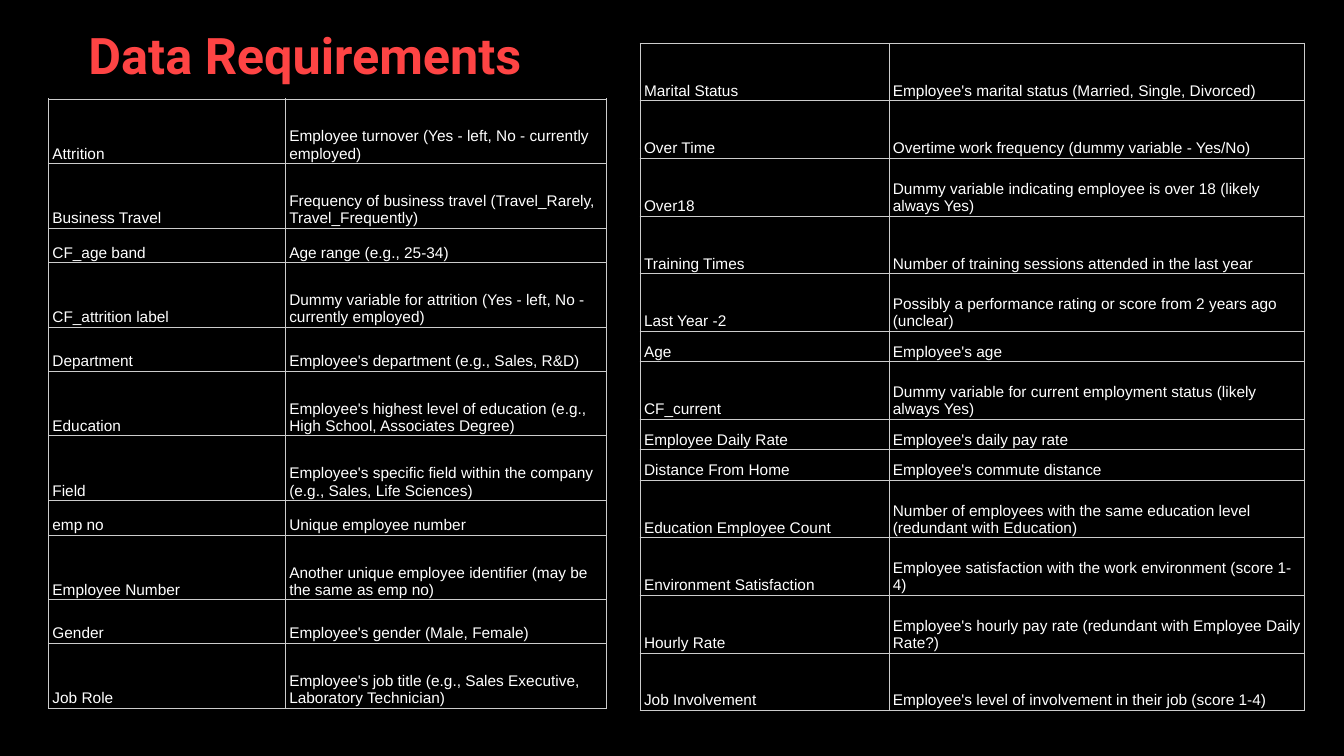
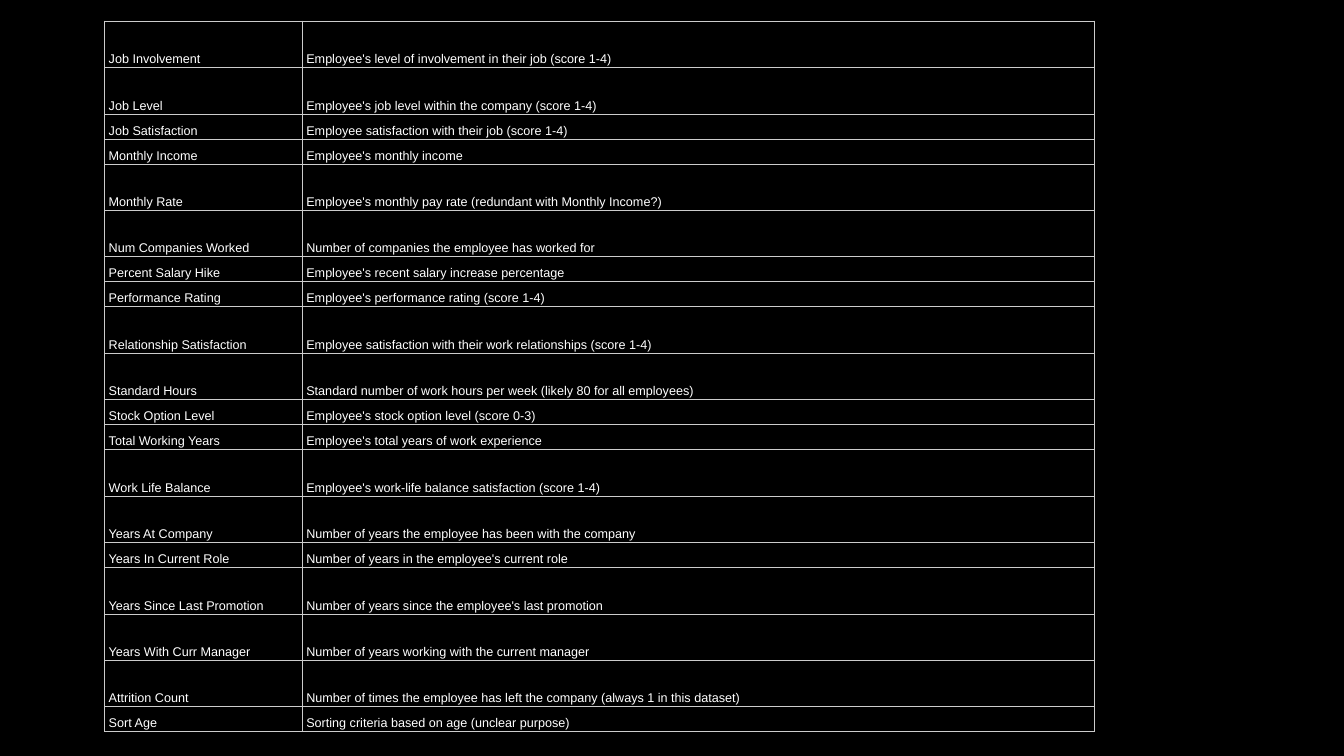
from lxml import etree
from pptx import Presentation
from pptx import util as u
from pptx.dml import color
from pptx.enum import text
from pptx.oxml import ns

# Table content: (field, description)
EMPLOYEE_FIELDS = [
    ("Attrition", "Employee turnover (Yes - left, No - currently employed)"),
    ("Business Travel", "Frequency of business travel (Travel_Rarely, Travel_Frequently)"),
    ("CF_age band", "Age range (e.g., 25-34)"),
    ("CF_attrition label", "Dummy variable for attrition (Yes - left, No - currently employed)"),
    ("Department", "Employee's department (e.g., Sales, R&D)"),
    ("Education", "Employee's highest level of education (e.g., High School, Associates Degree)"),
    ("Field", "Employee's specific field within the company (e.g., Sales, Life Sciences)"),
    ("emp no", "Unique employee number"),
    ("Employee Number", "Another unique employee identifier (may be the same as emp no)"),
    ("Gender", "Employee's gender (Male, Female)"),
    ("Job Role", "Employee's job title (e.g., Sales Executive, Laboratory Technician)"),
]
STATUS_FIELDS = [
    ("Marital Status", "Employee's marital status (Married, Single, Divorced)"),
    ("Over Time", "Overtime work frequency (dummy variable - Yes/No)"),
    ("Over18", "Dummy variable indicating employee is over 18 (likely always Yes)"),
    ("Training Times", "Number of training sessions attended in the last year"),
    ("Last Year -2", "Possibly a performance rating or score from 2 years ago (unclear)"),
    ("Age", "Employee's age"),
    ("CF_current", "Dummy variable for current employment status (likely always Yes)"),
    ("Employee Daily Rate", "Employee's daily pay rate"),
    ("Distance From Home", "Employee's commute distance"),
    ("Education Employee Count",
     "Number of employees with the same education level (redundant with Education)"),
    ("Environment Satisfaction", "Employee satisfaction with the work environment (score 1-4)"),
    ("Hourly Rate", "Employee's hourly pay rate (redundant with Employee Daily Rate?)"),
    ("Job Involvement", "Employee's level of involvement in their job (score 1-4)"),
]
JOB_FIELDS = [
    ("Job Involvement", "Employee's level of involvement in their job (score 1-4)"),
    ("Job Level", "Employee's job level within the company (score 1-4)"),
    ("Job Satisfaction", "Employee satisfaction with their job (score 1-4)"),
    ("Monthly Income", "Employee's monthly income"),
    ("Monthly Rate", "Employee's monthly pay rate (redundant with Monthly Income?)"),
    ("Num Companies Worked", "Number of companies the employee has worked for"),
    ("Percent Salary Hike", "Employee's recent salary increase percentage"),
    ("Performance Rating", "Employee's performance rating (score 1-4)"),
    ("Relationship Satisfaction",
     "Employee satisfaction with their work relationships (score 1-4)"),
    ("Standard Hours", "Standard number of work hours per week (likely 80 for all employees)"),
    ("Stock Option Level", "Employee's stock option level (score 0-3)"),
    ("Total Working Years", "Employee's total years of work experience"),
    ("Work Life Balance", "Employee's work-life balance satisfaction (score 1-4)"),
    ("Years At Company", "Number of years the employee has been with the company"),
    ("Years In Current Role", "Number of years in the employee's current role"),
    ("Years Since Last Promotion", "Number of years since the employee's last promotion"),
    ("Years With Curr Manager", "Number of years working with the current manager"),
    ("Attrition Count",
     "Number of times the employee has left the company (always 1 in this dataset)"),
    ("Sort Age", "Sorting criteria based on age (unclear purpose)"),
]


def rgb(value):
    return color.RGBColor.from_string(value)


def apply(target, values):
    for name, value in values.items():
        setattr(target, name, value)


class Deck:
    BACKGROUND, BODY, BORDER = "000000", "FFFFFF", "CCCCCC"
    TITLE_GRADIENT = ("FE4444", "832B2B")
    TITLE_FONT = {"name": "Roboto", "size": u.Pt(36), "bold": True}
    CELL = {
        "margin_left": u.Cm(0.05), "margin_right": u.Cm(0.05),
        "margin_top": u.Cm(0.03), "margin_bottom": u.Cm(0.03),
        "vertical_anchor": text.MSO_ANCHOR.BOTTOM,
    }
    INDENT = u.Cm(0.05)
    BORDER_WIDTH = u.Pt(0.5)

    def __init__(self):
        self.prs = Presentation()
        apply(self.prs, {"slide_width": u.Cm(33.87), "slide_height": u.Cm(19.05)})
        backdrop = self.prs.slide_master.background.fill
        backdrop.solid()
        backdrop.fore_color.rgb = rgb(self.BACKGROUND)
        self.slide = None

    def new_slide(self):
        self.slide = self.prs.slides.add_slide(self.prs.slide_layouts[6])

    def title(self, wording, left, top, width, height):
        box = self.slide.shapes.add_textbox(*map(u.Cm, (left, top, width, height)))
        box.text_frame.word_wrap = True
        run = box.text_frame.paragraphs[0].add_run()
        run.text = wording
        apply(run.font, self.TITLE_FONT)
        fill = run.font.fill
        fill.gradient()
        fill.gradient_angle = 0
        for stop, shade in zip(fill.gradient_stops, self.TITLE_GRADIENT):
            stop.color.rgb = rgb(shade)

    def table(self, fields, left, top, widths, pattern, heights, size):
        """Each letter of pattern picks a row height from heights."""
        row_heights = [heights[letter] for letter in pattern]
        frame = self.slide.shapes.add_table(
            len(fields), len(widths),
            *map(u.Cm, (left, top, sum(widths), sum(row_heights))))
        grid = frame.table
        apply(grid, {"first_row": False, "horz_banding": False})
        for column, width in zip(grid.columns, widths):
            column.width = u.Cm(width)
        for row, height, entry in zip(grid.rows, row_heights, fields):
            row.height = u.Cm(height)
            for cell, wording in zip(row.cells, entry):
                self.cell(cell, wording, size)

    def cell(self, cell, wording, size):
        apply(cell, self.CELL)
        cell.fill.background()
        self.borders(cell)
        paragraph = cell.text_frame.paragraphs[0]
        indent = paragraph._p.get_or_add_pPr()
        indent.set("marL", str(self.INDENT))
        indent.set("indent", "0")
        run = paragraph.add_run()
        run.text = wording
        apply(run.font, {"name": "Arial", "size": u.Pt(size)})
        run.font.color.rgb = rgb(self.BODY)

    def borders(self, cell):
        properties = cell._tc.get_or_add_tcPr()
        for place, side in enumerate(("lnL", "lnR", "lnT", "lnB")):
            line = etree.Element(ns.qn("a:" + side), w=str(self.BORDER_WIDTH))
            fill = etree.SubElement(line, ns.qn("a:solidFill"))
            etree.SubElement(fill, ns.qn("a:srgbClr"), val=self.BORDER)
            properties.insert(place, line)


def main():
    deck = Deck()

    # Data requirements: title and two tables
    deck.new_slide()
    deck.title("Data Requirements", 1.98, 0.48, 28.45, 1.75)
    deck.table(EMPLOYEE_FIELDS, 1.22, 2.49, (5.97, 8.1), "TTSTMTTSTMT",
               {"T": 1.63, "M": 1.1, "S": 0.87}, 11)
    deck.table(STATUS_FIELDS, 16.13, 1.09, (6.27, 10.46), "TTTTTSTSSTTTT",
               {"T": 1.45, "S": 0.77}, 11)

    # Remaining job fields
    deck.new_slide()
    deck.table(JOB_FIELDS, 2.64, 0.53, (4.98, 19.96), "TTSSTTSSTTSSTTSTTTS",
               {"T": 1.17, "S": 0.63}, 9)

    deck.prs.save("out.pptx")


if __name__ == "__main__":
    main()
